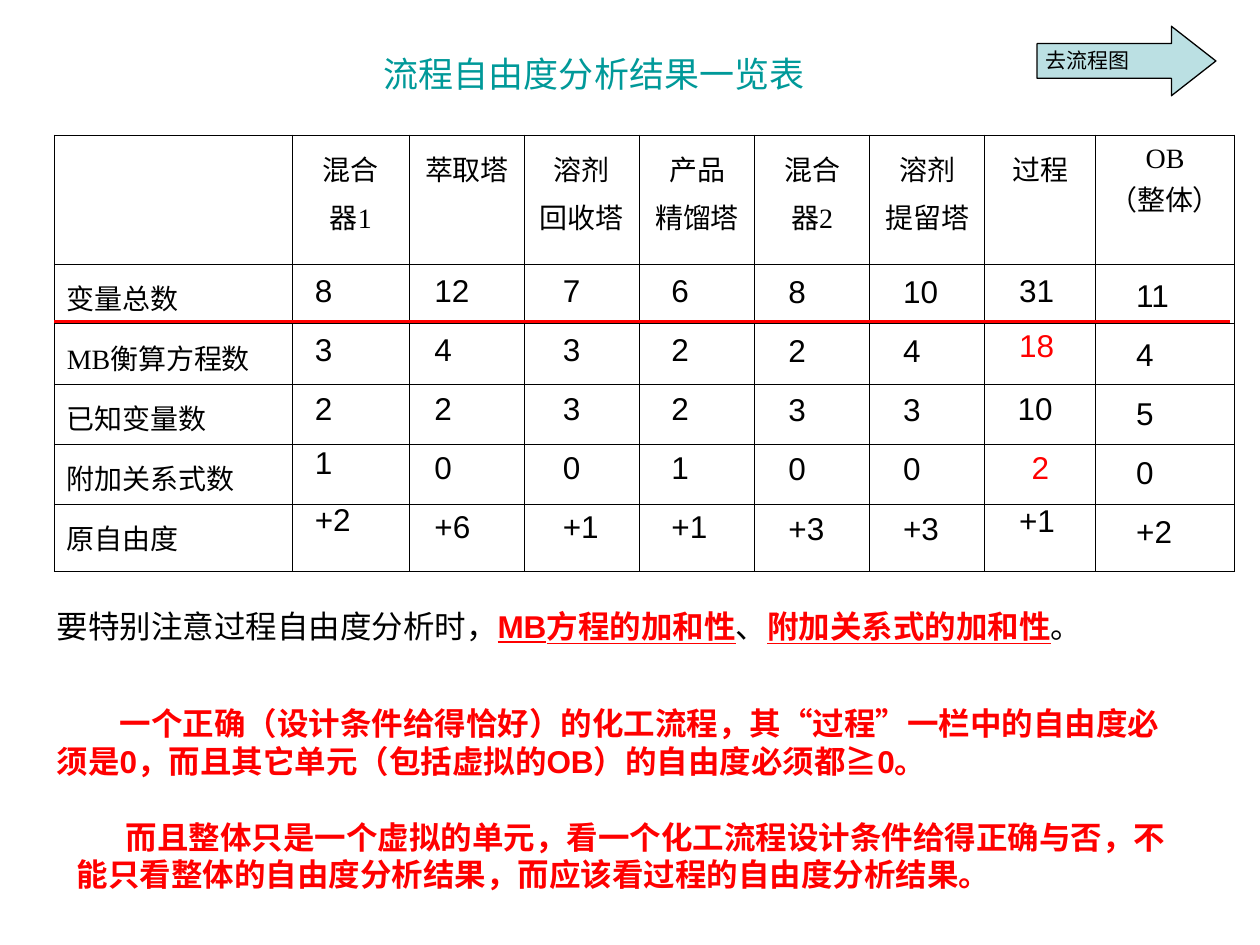
import dataclasses

import pptx
import pptx.dml.color
import pptx.enum.shapes
import pptx.enum.text
import pptx.oxml
import pptx.oxml.ns
import pptx.util

Pt = pptx.util.Pt
RGB = pptx.dml.color.RGBColor
Align = pptx.enum.text.PP_ALIGN


@dataclasses.dataclass(frozen=True)
class Theme:
    black: RGB = RGB(0, 0, 0)
    red: RGB = RGB(255, 0, 0)
    teal: RGB = RGB(0, 0x99, 0x99)
    pale: RGB = RGB(0xBB, 0xE0, 0xE3)
    serif: str = "Times New Roman"
    sans: str = "Arial"
    title: float = 20
    cell: float = 16
    body: float = 18
    label: float = 12


THEME = Theme()


@dataclasses.dataclass(frozen=True)
class Span:
    text: str
    color: RGB = THEME.black
    bold: bool = False
    underline: bool = False


@dataclasses.dataclass(frozen=True)
class Numbers:
    left: float
    top: float
    values: str
    color: RGB = THEME.black


@dataclasses.dataclass(frozen=True)
class Note:
    left: float
    top: float
    width: float
    indent: float
    spans: tuple[Span, ...]


@dataclasses.dataclass(frozen=True)
class Heading:
    lines: tuple[str, ...]
    inset: float = 7.6
    gap: float = 4


HEADINGS = (
    Heading(("混合", "器1")),
    Heading(("萃取塔",)),
    Heading(("溶剂", "回收塔")),
    Heading(("产品", "精馏塔")),
    Heading(("混合", "器2")),
    Heading(("溶剂", "提留塔")),
    Heading(("过程",)),
    Heading(("OB", "（整体）"), 5, 2),
)
ROW_LABELS = ("变量总数", "MB衡算方程数", "已知变量数", "附加关系式数", "原自由度")
COLUMN_WIDTHS = (136, 67, 65.7, 65.7, 66, 65.7, 65.7, 63.5, 79.2)
ROW_HEIGHTS = (73.6, 33.2, 34.3, 34.3, 34.2, 38.8)

NUMBERS = (
    Numbers(172.8, 151.2, "8"),
    Numbers(172.8, 185, "3"),
    Numbers(172.8, 219, "2"),
    Numbers(172.8, 249.8, "1"),
    Numbers(172.8, 282.2, "+2"),
    Numbers(241.2, 151.2, "12 4 2 0 +6"),
    Numbers(314.6, 151.2, "7 3 3 0 +1"),
    Numbers(376.6, 151.2, "6 2 2 1 +1"),
    Numbers(443.5, 151.9, "8 2 3 0 +3"),
    Numbers(509, 151.9, "10 4 3 0 +3"),
    Numbers(575.3, 151.2, "31"),
    Numbers(575.3, 182.9, "18", THEME.red),
    Numbers(574.5, 219, "10"),
    Numbers(582.5, 252.7, "2", THEME.red),
    Numbers(575.3, 283, "+1"),
    Numbers(642.2, 154, "11 4 5 0 +2"),
)

NOTES = (
    Note(25.2, 398.9, 658, 36, (
        Span("一个正确（设计条件给得恰好）的化工流程，其“过程”一栏中的自由度必须是0，"
             "而且其它单元（包括虚拟的OB）的自由度必须都≧0。", THEME.red, True),)),
    Note(36.7, 463.7, 640.8, 28, (
        Span("而且整体只是一个虚拟的单元，看一个化工流程设计条件给得正确与否，"
             "不能只看整体的自由度分析结果，而应该看过程的自由度分析结果。", THEME.red, True),)),
    Note(25.2, 343.4, 601.2, 0, (
        Span("要特别注意过程自由度分析时，"),
        Span("MB方程的加和性", THEME.red, True, True),
        Span("、"),
        Span("附加关系式的加和性", THEME.red, True, True),
        Span("。"))),
)


def add_span(para, span: Span, size: float, font: str) -> None:
    run = para.add_run()
    run.text = span.text
    run.font.name = font
    run.font.size = Pt(size)
    run.font.color.rgb = span.color
    run.font.bold = span.bold
    run.font.underline = span.underline


def add_box(page, left: float, top: float, width: float, height: float):
    box = page.shapes.add_textbox(Pt(left), Pt(top), Pt(width), Pt(height))
    box.text_frame.word_wrap = True
    return box.text_frame


def fill_lines(frame, lines, color: RGB, size: float, font: str,
               gap: float = 0, align=Align.LEFT) -> None:
    for index, line in enumerate(lines):
        para = frame.add_paragraph() if index else frame.paragraphs[0]
        para.alignment = align
        if index:
            para.space_before = Pt(gap)
        add_span(para, Span(line, color), size, font)


def add_borders(cell) -> None:
    properties = cell._tc.get_or_add_tcPr()
    for position, side in enumerate(("lnL", "lnR", "lnT", "lnB")):
        properties.insert(position, pptx.oxml.parse_xml(
            f'<a:{side} {pptx.oxml.ns.nsdecls("a")} w="{Pt(0.45)}"><a:solidFill>'
            f'<a:srgbClr val="{THEME.black}"/></a:solidFill></a:{side}>'))


def add_title(page) -> None:
    title = page.shapes.title
    title.left, title.top, title.width, title.height = Pt(165.6), Pt(26), Pt(347.8), Pt(31.7)
    title.text_frame.vertical_anchor = pptx.enum.text.MSO_ANCHOR.MIDDLE
    fill_lines(title.text_frame, ("流程自由度分析结果一览表",), THEME.teal,
               THEME.title, THEME.serif, align=Align.CENTER)


def add_summary(page) -> None:
    table = page.shapes.add_table(
        len(ROW_HEIGHTS), len(COLUMN_WIDTHS), Pt(31), Pt(77.2),
        Pt(sum(COLUMN_WIDTHS)), Pt(sum(ROW_HEIGHTS))).table
    table.first_row = table.horz_banding = False
    for column, width in zip(table.columns, COLUMN_WIDTHS):
        column.width = Pt(width)
    for row, height in zip(table.rows, ROW_HEIGHTS):
        row.height = Pt(height)
    for cell in table.iter_cells():
        cell.fill.background()
        add_borders(cell)
    for index, heading in enumerate(HEADINGS, 1):
        cell = table.cell(0, index)
        cell.margin_top = Pt(heading.inset)
        fill_lines(cell.text_frame, heading.lines, THEME.black, THEME.cell,
                   THEME.serif, heading.gap, Align.CENTER)
    for index, label in enumerate(ROW_LABELS, 1):
        cell = table.cell(index, 0)
        cell.margin_top = Pt(7.6)
        fill_lines(cell.text_frame, (label,), THEME.black, THEME.cell, THEME.serif)


def add_numbers(page, numbers: Numbers) -> None:
    values = numbers.values.split()
    frame = add_box(page, numbers.left, numbers.top, 50, 28.8 + 32.9 * (len(values) - 1))
    fill_lines(frame, values, numbers.color, THEME.body, THEME.sans, 12.2)


def add_note(page, note: Note) -> None:
    para = add_box(page, note.left, note.top, note.width, 50.4).paragraphs[0]
    para._p.get_or_add_pPr().set("indent", str(Pt(note.indent)))
    for span in note.spans:
        add_span(para, span, THEME.body, THEME.sans)


def add_rule(page) -> None:
    rule = page.shapes.add_connector(
        pptx.enum.shapes.MSO_CONNECTOR.STRAIGHT, Pt(31), Pt(183.6), Pt(702.7), Pt(183.6))
    rule.line.color.rgb = THEME.red
    rule.line.width = Pt(2)
    rule._element.spPr.append(pptx.oxml.parse_xml(
        f'<a:effectLst {pptx.oxml.ns.nsdecls("a")}/>'))


def add_arrow(page) -> None:
    arrow = page.shapes.add_shape(
        pptx.enum.shapes.MSO_SHAPE.RIGHT_ARROW, Pt(592.6), Pt(15), Pt(102.2), Pt(39.7))
    arrow.adjustments[0], arrow.adjustments[1] = 0.5, 0.64
    arrow.shadow.inherit = False
    arrow.fill.solid()
    arrow.fill.fore_color.rgb = THEME.pale
    arrow.line.color.rgb = THEME.black
    arrow.line.width = Pt(0.75)
    fill_lines(add_box(page, 590.4, 23.8, 73.4, 21.6), ("去流程图",),
               THEME.black, THEME.label, THEME.sans)


def main() -> None:
    deck = pptx.Presentation()
    deck.slide_width, deck.slide_height = Pt(720), Pt(540)
    page = deck.slides.add_slide(deck.slide_layouts[5])
    add_title(page)
    add_summary(page)
    for numbers in NUMBERS:
        add_numbers(page, numbers)
    add_rule(page)
    for note in NOTES:
        add_note(page, note)
    add_arrow(page)
    deck.save("out.pptx")


if __name__ == "__main__":
    main()
